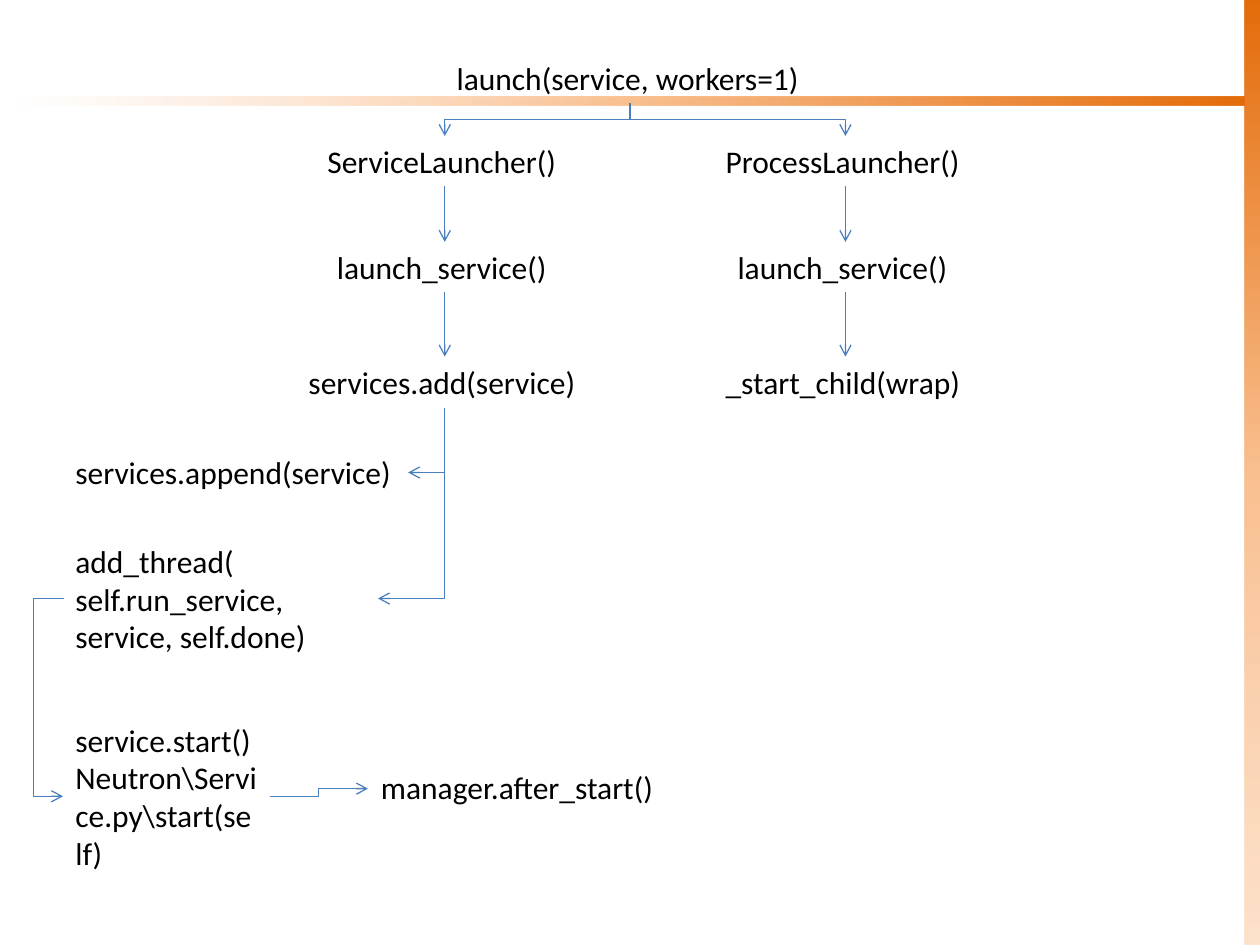
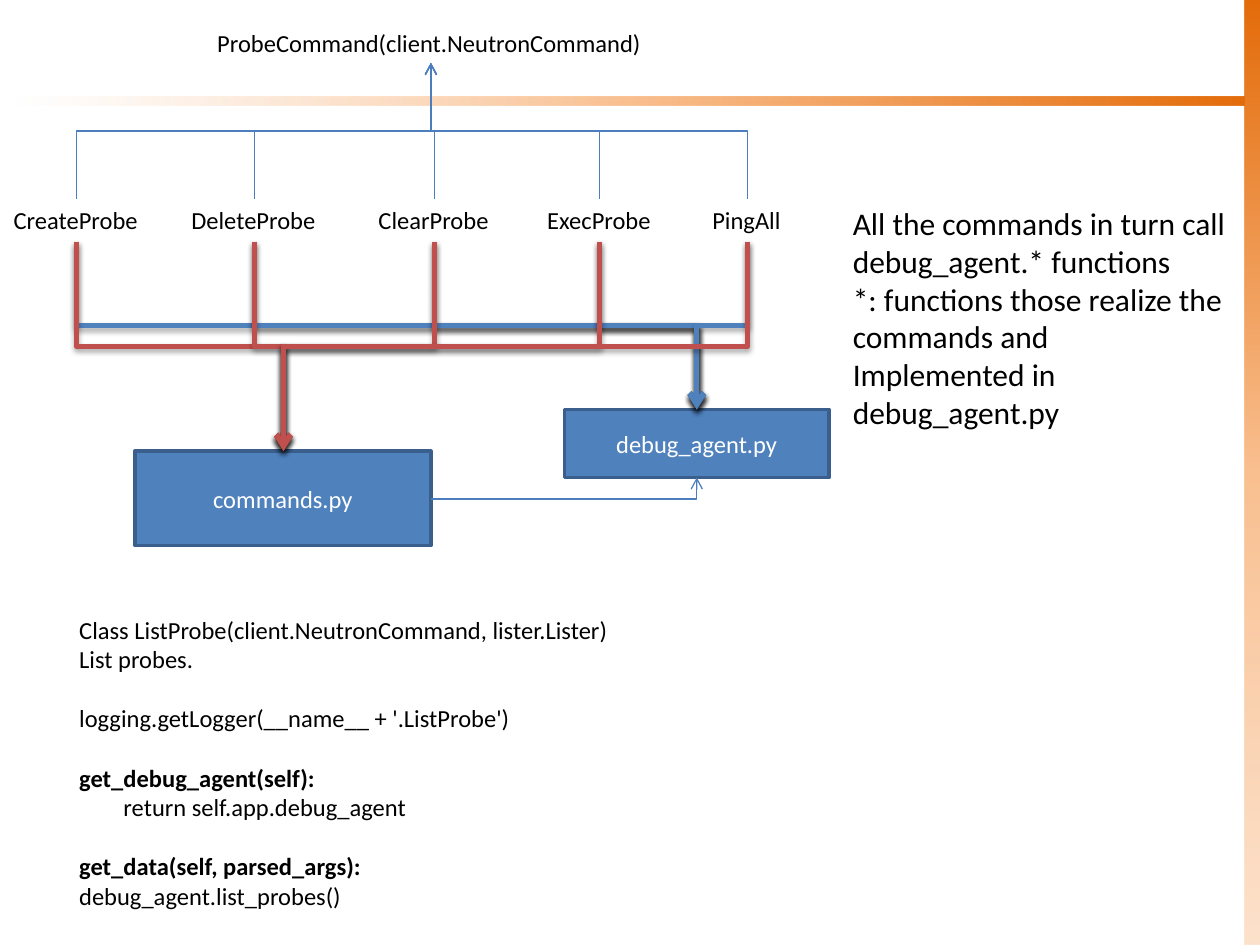
from dataclasses import dataclass
from itertools import pairwise
from typing import NamedTuple

from lxml import etree
from pptx import Presentation
from pptx import util as u
from pptx.dml.color import RGBColor
from pptx.enum import shapes, text
from pptx.oxml.ns import qn

# Shared look
FONT = "Calibri"
BLACK, WHITE = "000000", "FFFFFF"
BLUE, THIN_BLUE, DARK_BLUE, RED = "4F81BD", "4B7EBC", "3A5F8C", "C0504D"
ORANGE, PEACH, PALE = "E46C0A", "FAC090", "FCD5B5"
LARGE, SMALL = 18, 14
LARGE_HEIGHT, SMALL_HEIGHT = 0.4, 0.34


class Point(NamedTuple):
    x: float
    y: float


class Line(NamedTuple):
    text: str
    bold: bool = False
    gap: float = 0


@dataclass
class Label:
    text: str
    centre: float
    top: float
    width: float


@dataclass
class Block:
    lines: list[Line]
    left: float
    top: float
    width: float
    height: float


@dataclass
class Arrow:
    start: Point
    end: Point
    kind: str = "bentConnector3"
    vertical: bool = True
    color: str = THIN_BLUE
    width: float = 0.75
    shadow: bool = False
    bend: int | None = None


def rgb(color: str) -> RGBColor:
    return RGBColor.from_string(color)


def add_xml(parent, tag: str, **attributes):
    return etree.SubElement(parent, qn(tag), attributes)


def style_paragraph(para, size: float, color: str = BLACK, bold: bool = False) -> None:
    for span in para.runs:
        span.font.name = FONT
        span.font.size = u.Pt(size)
        span.font.bold = bold
        span.font.color.rgb = rgb(color)


def add_gradient_bar(page, left, top, width, height, angle: int, last_alpha: int) -> None:
    """Orange bar fading along the given angle in degrees."""
    bar = page.shapes.add_shape(shapes.MSO_SHAPE.RECTANGLE, *map(u.Inches, (left, top, width, height)))
    bar.shadow.inherit = False
    bar.line.fill.background()
    bar.fill.gradient()
    gradient = bar.element.spPr.find(qn("a:gradFill"))
    for child in list(gradient):
        gradient.remove(child)
    stops = add_xml(gradient, "a:gsLst")
    for position, color, alpha in ((0, ORANGE, 100), (50, PEACH, 100), (100, PALE, last_alpha)):
        stop = add_xml(stops, "a:gs", pos=str(position * 1000))
        tint = add_xml(stop, "a:srgbClr", val=color)
        if alpha < 100:
            add_xml(tint, "a:alpha", val=str(alpha * 1000))
    add_xml(gradient, "a:lin", ang=str(angle * 60000), scaled="0")


def add_page(deck):
    page = deck.slides.add_slide(deck.slide_layouts[6])
    add_gradient_bar(page, 9.88, 0, 0.12, 7.5, 90, 69)
    add_gradient_bar(page, 0.12, 0.77, 9.76, 0.07, 180, 0)
    return page


def add_block(page, block: Block, size: float, wrap: bool = True) -> None:
    box = page.shapes.add_textbox(*map(u.Inches, (block.left, block.top, block.width, block.height)))
    frame = box.text_frame
    frame.word_wrap = wrap
    frame.auto_size = text.MSO_AUTO_SIZE.SHAPE_TO_FIT_TEXT
    frame.text = "\n".join(line.text for line in block.lines)
    for para, line in zip(frame.paragraphs, block.lines):
        if line.gap:
            para.space_before = u.Pt(line.gap)
        style_paragraph(para, size, bold=line.bold)


def add_label(page, label: Label, size: float, height: float) -> None:
    left = label.centre - label.width / 2
    add_block(page, Block([Line(label.text)], left, label.top, label.width, height), size, wrap=False)


def add_module(page, name: str, left: float, top: float, width: float, height: float) -> None:
    box = page.shapes.add_shape(shapes.MSO_SHAPE.RECTANGLE, *map(u.Inches, (left, top, width, height)))
    box.shadow.inherit = False
    box.fill.solid()
    box.fill.fore_color.rgb = rgb(BLUE)
    box.line.color.rgb = rgb(DARK_BLUE)
    box.line.width = u.Pt(2)
    box.text_frame.text = name
    para = box.text_frame.paragraphs[0]
    para.alignment = text.PP_ALIGN.CENTER
    style_paragraph(para, SMALL, WHITE)


def add_arrow(page, arrow: Arrow) -> None:
    start, end = arrow.start, arrow.end
    straight = start.x == end.x
    kind = shapes.MSO_CONNECTOR.STRAIGHT if straight else shapes.MSO_CONNECTOR.ELBOW
    link = page.shapes.add_connector(kind, *map(u.Inches, (*start, *end)))
    properties = link.element.spPr
    if not straight:
        geometry = properties.find(qn("a:prstGeom"))
        geometry.set("prst", arrow.kind)
        if arrow.bend is not None:
            guides = geometry.find(qn("a:avLst"))
            if guides is None:
                guides = add_xml(geometry, "a:avLst")
            add_xml(guides, "a:gd", name="adj1", fmla=f"val {arrow.bend}")
        if arrow.vertical:
            turn_upright(link, start, end)

    link.line.color.rgb = rgb(arrow.color)
    link.line.width = u.Pt(arrow.width)
    add_xml(properties.find(qn("a:ln")), "a:tailEnd", type="arrow")
    effects = add_xml(properties, "a:effectLst")
    if arrow.shadow:
        shadow = add_xml(effects, "a:outerShdw", blurRad="40000", dist="23000",
                         dir="5400000", rotWithShape="0")
        add_xml(add_xml(shadow, "a:srgbClr", val=BLACK), "a:alpha", val="35000")


def turn_upright(link, start: Point, end: Point) -> None:
    """Rotate an elbow so that it leaves its start vertically."""
    across, down = end.x - start.x, end.y - start.y
    width, height = abs(down), abs(across)
    link.left = u.Inches((start.x + end.x - width) / 2)
    link.top = u.Inches((start.y + end.y - height) / 2)
    link.width, link.height = u.Inches(width), u.Inches(height)
    frame = link.element.spPr.find(qn("a:xfrm"))
    for flip in ("flipH", "flipV"):
        frame.attrib.pop(flip, None)
    frame.set("rot", str((90 if down > 0 else 270) * 60000))
    if across * down > 0:
        frame.set("flipV", "1")


def build_launch_page(deck) -> None:
    page = add_page(deck)
    root = Point(5, 0.82)
    add_label(page, Label("launch(service, workers=1)", root.x, 0.42, 2.95), LARGE, LARGE_HEIGHT)

    # Two launcher columns
    row_tops = (1.08, 1.92, 2.83)
    columns = {
        3.53: (("ServiceLauncher()", 2.04), ("launch_service()", 1.89), ("services.add(service)", 2.34)),
        6.71: (("ProcessLauncher()", 2.08), ("launch_service()", 1.89), ("_start_child(wrap)", 2.08)),
    }
    for centre, calls in columns.items():
        for (call, width), top in zip(calls, row_tops):
            add_label(page, Label(call, centre - 0.01, top, width), LARGE, LARGE_HEIGHT)
        add_arrow(page, Arrow(root, Point(centre, row_tops[0])))
        for upper, lower in pairwise(row_tops):
            add_arrow(page, Arrow(Point(centre, upper + LARGE_HEIGHT), Point(centre, lower)))

    # Calls made by services.add
    add_label(page, Label("services.append(service)", 1.87, 3.55, 2.74), LARGE, LARGE_HEIGHT)
    add_label(page, Label("manager.after_start()", 4.12, 6.05, 2.39), LARGE, LARGE_HEIGHT)
    for block in (
        Block([Line("add_thread("), Line("self.run_service, service, self.done)")], 0.5, 4.25, 2.5, 1.01),
        Block([Line("service.start()"), Line(r"Neutron\Service.py\start(self)")], 0.5, 5.67, 1.64, 1.31),
    ):
        add_block(page, block, LARGE)
    for end in (Point(3.24, 3.75), Point(3, 4.75)):
        add_arrow(page, Arrow(Point(3.53, 3.24), end, "bentConnector2"))
    add_arrow(page, Arrow(Point(0.51, 4.75), Point(0.5, 6.32), vertical=False, bend=2500000))
    add_arrow(page, Arrow(Point(2.14, 6.32), Point(2.92, 6.26), vertical=False))


def build_probe_page(deck) -> None:
    page = add_page(deck)
    base = Point(3.42, 0.5)
    add_label(page, Label("ProbeCommand(client.NeutronCommand)", base.x, 0.17, 3.59), SMALL, SMALL_HEIGHT)

    # Probe commands and the modules they use
    command_top = 1.58
    commands = [
        Label("CreateProbe", 0.61, command_top, 1.2),
        Label("DeleteProbe", 2.02, command_top, 1.2),
        Label("ClearProbe", 3.45, command_top, 1.09),
        Label("ExecProbe", 4.76, command_top, 1.03),
        Label("PingAll", 5.93, command_top, 0.75),
    ]
    for command in commands:
        add_label(page, command, SMALL, SMALL_HEIGHT)
        add_arrow(page, Arrow(Point(command.centre, command_top), base))
    add_module(page, "debug_agent.py", 4.48, 3.25, 2.1, 0.54)
    add_module(page, "commands.py", 1.07, 3.58, 2.35, 0.75)
    for target, color in ((Point(5.53, 3.25), BLUE), (Point(2.25, 3.58), RED)):
        for command in commands:
            start = Point(command.centre, command_top + SMALL_HEIGHT)
            add_arrow(page, Arrow(start, target, color=color, width=3, shadow=True))
    add_arrow(page, Arrow(Point(3.42, 3.96), Point(5.53, 3.79), "bentConnector2", vertical=False))

    # Explanation and code
    add_block(page, Block([
        Line("All the commands in turn call debug_agent.* functions"),
        Line("*: functions those realize the commands and"),
        Line("Implemented in debug_agent.py"),
    ], 6.67, 1.57, 3.33, 1.92), LARGE)
    blank = 17
    add_block(page, Block([
        Line("Class ListProbe(client.NeutronCommand, lister.Lister)"),
        Line("List probes."),
        Line("logging.getLogger(__name__ + '.ListProbe')", gap=blank),
        Line("get_debug_agent(self):", bold=True, gap=blank),
        Line("        return self.app.debug_agent"),
        Line("get_data(self, parsed_args):", bold=True, gap=blank),
        Line("debug_agent.list_probes()"),
    ], 0.53, 4.83, 7.89, 2.46), SMALL)


def main() -> None:
    deck = Presentation()
    deck.slide_width, deck.slide_height = u.Inches(10), u.Inches(7.5)
    build_launch_page(deck)
    build_probe_page(deck)
    deck.save("out.pptx")


if __name__ == "__main__":
    main()
